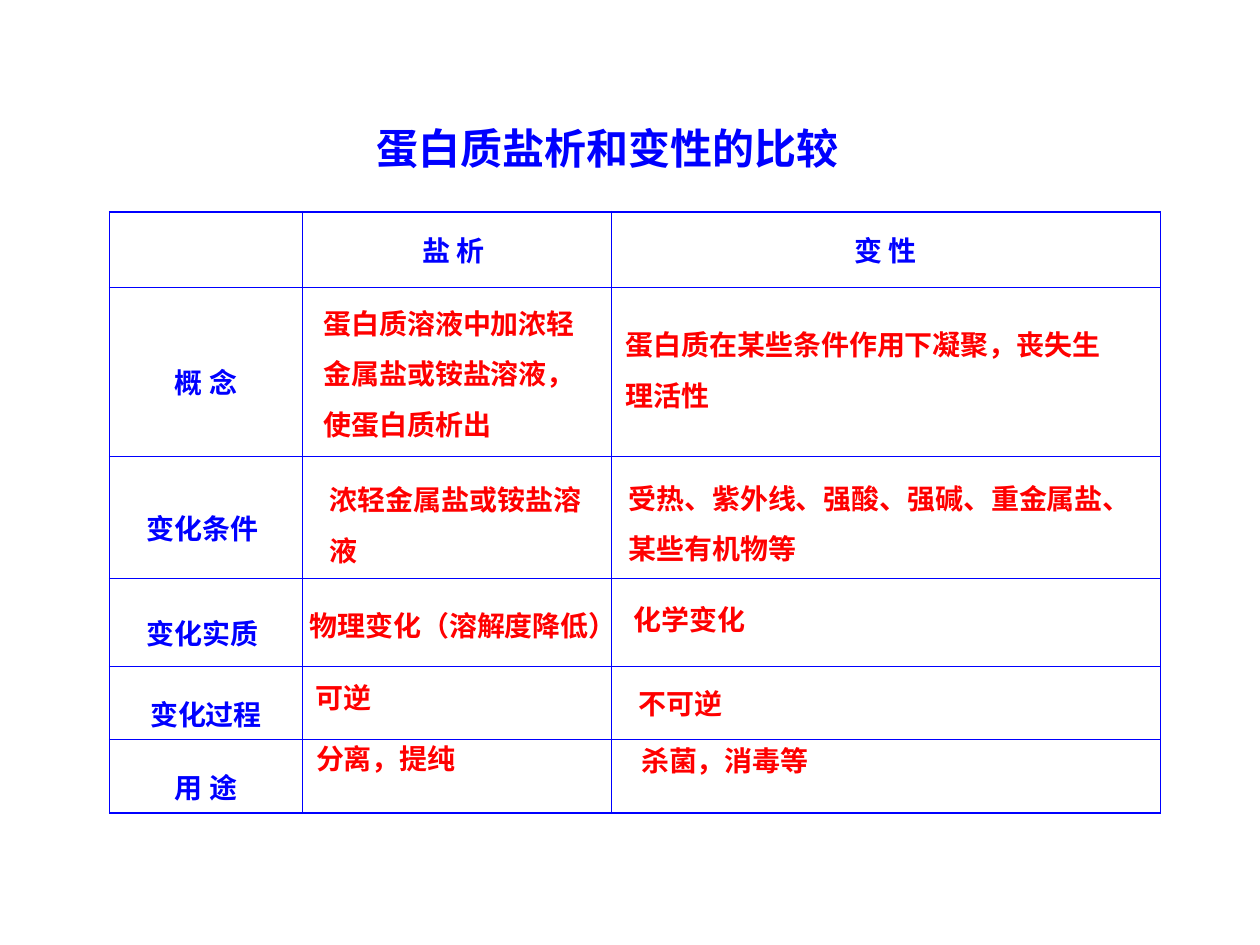
from dataclasses import dataclass
from itertools import accumulate

from lxml import etree
from pptx import Presentation
from pptx import util as u
from pptx.dml.color import RGBColor
from pptx.enum import text
from pptx.oxml.ns import qn

BLUE = RGBColor(0x00, 0x00, 0xFF)
RED = RGBColor(0xFF, 0x00, 0x00)
FONT = "Noto Sans CJK SC"
THIN, THICK = 0.45, 1.08

# Table grid in inches
LEFT, TOP = 0.87, 1.68
WIDTHS = [1.53, 2.45, 4.36]
HEIGHTS = [0.6, 1.34, 0.97, 0.7, 0.5, 0.5]
COLUMN_EDGES = list(accumulate(WIDTHS, initial=LEFT))
ROW_EDGES = list(accumulate(HEIGHTS, initial=TOP))

COLUMN_HEADS = ["盐 析 ", "变 性"]
ROW_HEADS = ["概 念", "变化条件 ", "变化实质 ", "变化过程", "用 途"]


@dataclass
class Note:
    """Red text placed from the top left corner of a table cell."""
    row: int
    column: int
    dx: float
    dy: float
    width: float
    height: float
    lines: list[str]
    spacing: float | None = None


NOTES = [
    Note(1, 2, 0.02, 0.14, 4.13, 0.9, ["蛋白质在某些条件作用下凝聚，丧失生", "理活性"], 1.5),
    Note(2, 2, 0.04, 0.02, 4.21, 0.9, ["受热、紫外线、强酸、强碱、重金属盐、", "某些有机物等"], 1.5),
    Note(2, 1, 0.12, 0.03, 2.27, 0.9, ["浓轻金属盐或铵盐溶液"], 1.5),
    Note(1, 1, 0.07, -0.03, 2.28, 1.3, ["蛋白质溶液中加浓轻金属盐或铵盐溶液，使蛋白质析出"], 1.5),
    Note(3, 2, 0.08, 0.14, 1.94, 0.37, ["化学变化"]),
    Note(3, 1, -0.04, 0.06, 2.81, 0.5, ["物理变化（溶解度降低）"], 1.5),
    Note(4, 1, 0.01, 0.06, 1.66, 0.37, ["可逆"]),
    Note(4, 2, 0.12, 0.11, 1.66, 0.37, ["不可逆"]),
    Note(5, 1, 0.01, 0.05, 1.99, 0.37, ["分离，提纯"]),
    Note(5, 2, 0.14, 0.06, 2.66, 0.37, ["杀菌，消毒等"]),
]


def write(frame, lines: list[str], size: float, color: RGBColor,
          spacing: float | None = None, align=text.PP_ALIGN.LEFT) -> None:
    frame.text = "\n".join(lines)
    for para in frame.paragraphs:
        para.alignment = align
        para.line_spacing = spacing
        font = para.font
        font.size, font.bold, font.name = u.Pt(size), True, FONT
        font.color.rgb = color
        # East Asian typeface
        properties = para._p.get_or_add_pPr().get_or_add_defRPr()
        etree.SubElement(properties, qn("a:ea"), typeface=FONT)


def set_borders(cell, widths: dict[str, float]) -> None:
    properties = cell._tc.get_or_add_tcPr()
    for position, (side, width) in enumerate(widths.items()):
        line = etree.Element(qn(f"a:ln{side}"), w=str(u.Pt(width)))
        fill = etree.SubElement(line, qn("a:solidFill"))
        etree.SubElement(fill, qn("a:srgbClr"), val=str(BLUE))
        properties.insert(position, line)


def add_title(page) -> None:
    title = page.shapes.title
    title.left, title.top = u.Inches(2.89), u.Inches(0.92)
    title.width, title.height = u.Inches(4.27), u.Inches(0.5)
    title.text_frame.vertical_anchor = text.MSO_ANCHOR.TOP
    write(title.text_frame, ["蛋白质盐析和变性的比较"], 24, BLUE)


def add_comparison_table(page) -> None:
    rows, columns = len(HEIGHTS), len(WIDTHS)
    table = page.shapes.add_table(
        rows, columns, u.Inches(LEFT), u.Inches(TOP),
        u.Inches(sum(WIDTHS)), u.Inches(sum(HEIGHTS))).table
    table.first_row = table.horz_banding = False
    for column, width in zip(table.columns, WIDTHS):
        column.width = u.Inches(width)
    for row, height in zip(table.rows, HEIGHTS):
        row.height = u.Inches(height)

    # Thick outer frame, thin inner lines
    for r in range(rows):
        for c in range(columns):
            cell = table.cell(r, c)
            cell.fill.background()
            cell.vertical_anchor = text.MSO_ANCHOR.MIDDLE
            outer = {"L": c == 0, "R": c == columns - 1,
                     "T": r == 0, "B": r == rows - 1}
            set_borders(cell, {side: THICK if edge else THIN
                               for side, edge in outer.items()})

    # Headings
    center = text.PP_ALIGN.CENTER
    for c, head in enumerate(COLUMN_HEADS, start=1):
        write(table.cell(0, c).text_frame, [head], 16, BLUE, align=center)
    for r, head in enumerate(ROW_HEADS, start=1):
        write(table.cell(r, 0).text_frame, [head], 16, BLUE, 1.5, center)


def add_note(page, note: Note) -> None:
    box = page.shapes.add_textbox(
        u.Inches(COLUMN_EDGES[note.column] + note.dx),
        u.Inches(ROW_EDGES[note.row] + note.dy),
        u.Inches(note.width), u.Inches(note.height))
    box.text_frame.word_wrap = True
    write(box.text_frame, note.lines, 16, RED, note.spacing)


def main() -> None:
    deck = Presentation()
    deck.slide_width, deck.slide_height = u.Inches(10), u.Inches(7.5)
    page = deck.slides.add_slide(deck.slide_layouts.get_by_name("Title Only"))
    add_title(page)
    add_comparison_table(page)
    for note in NOTES:
        add_note(page, note)
    deck.save("out.pptx")


if __name__ == "__main__":
    main()
